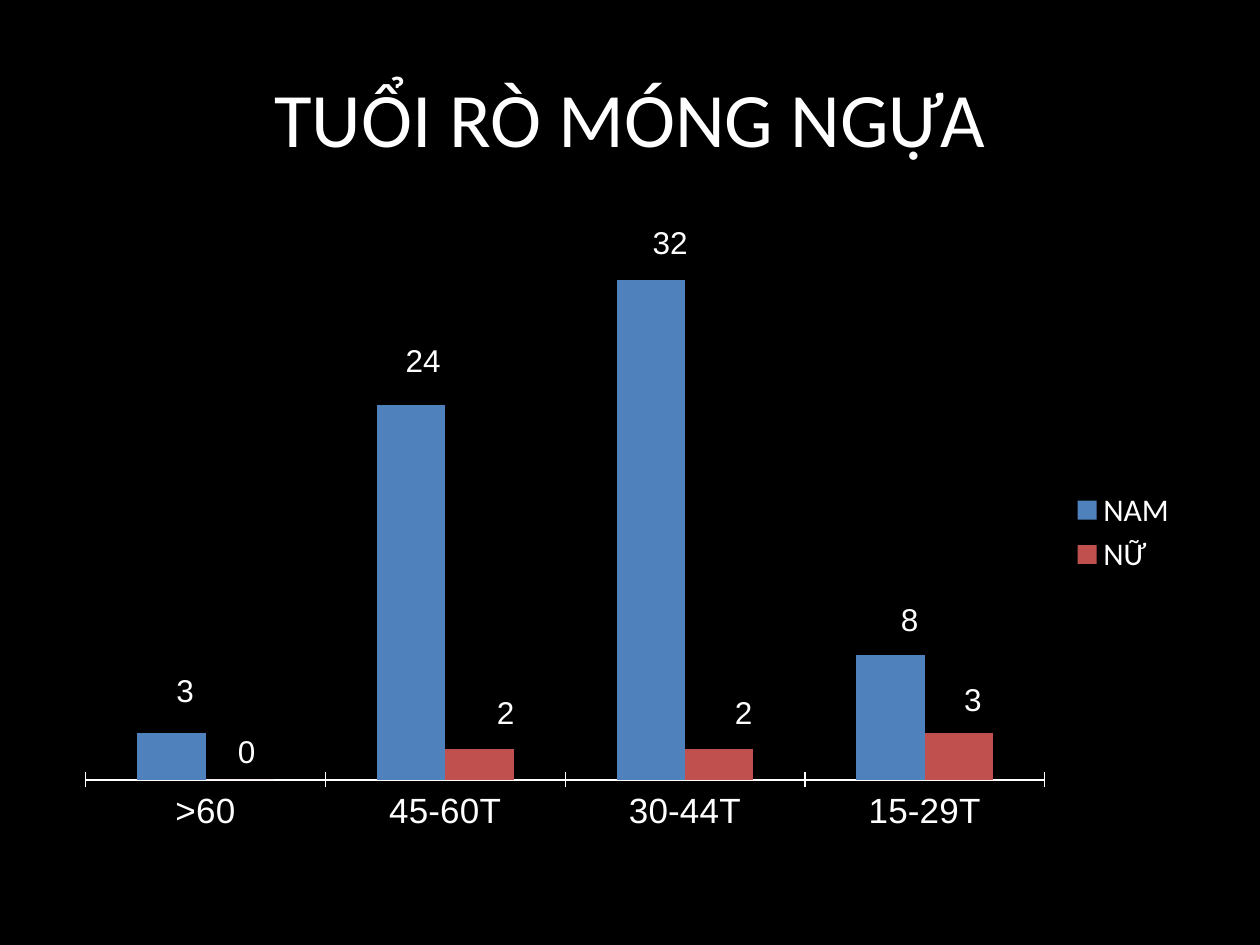
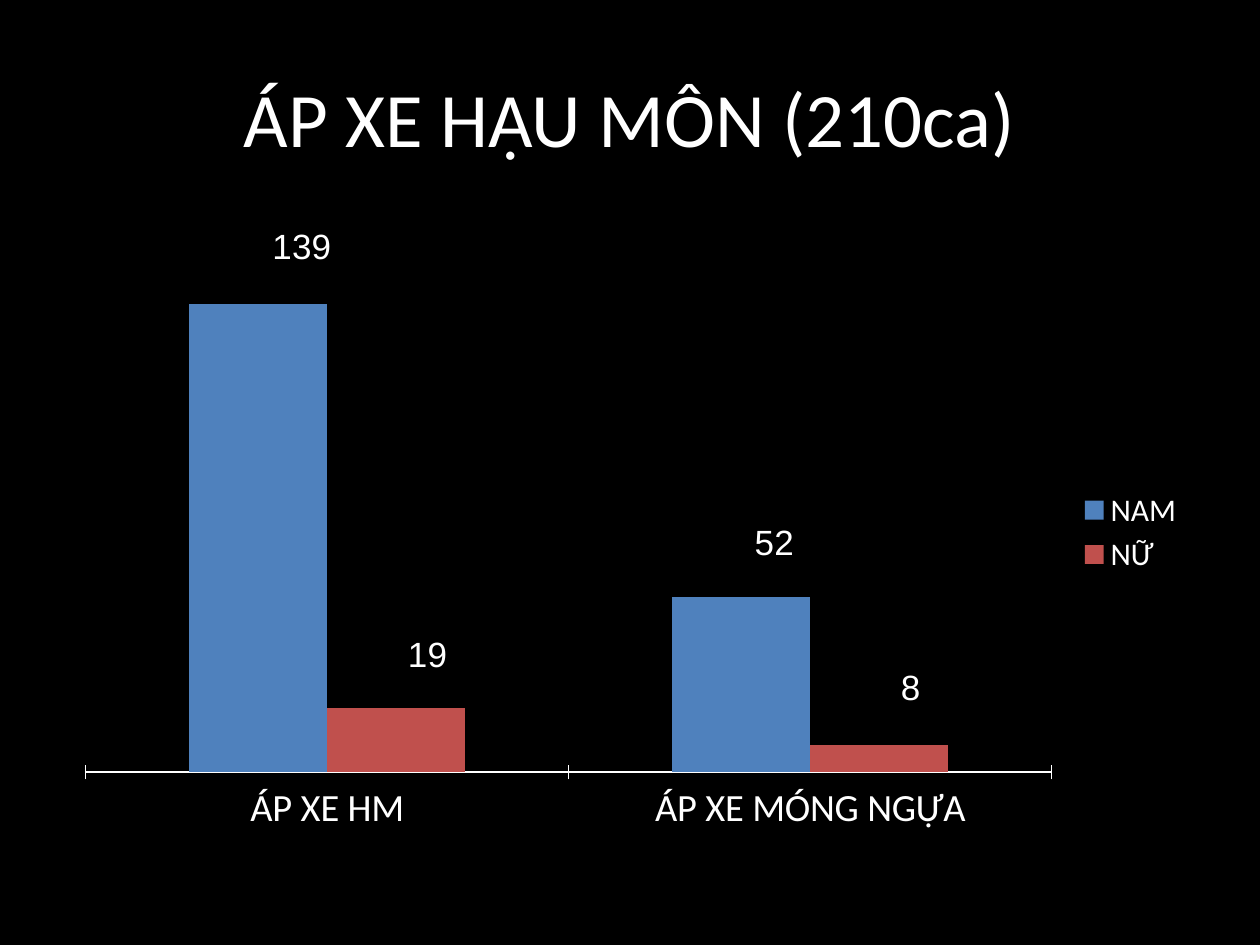
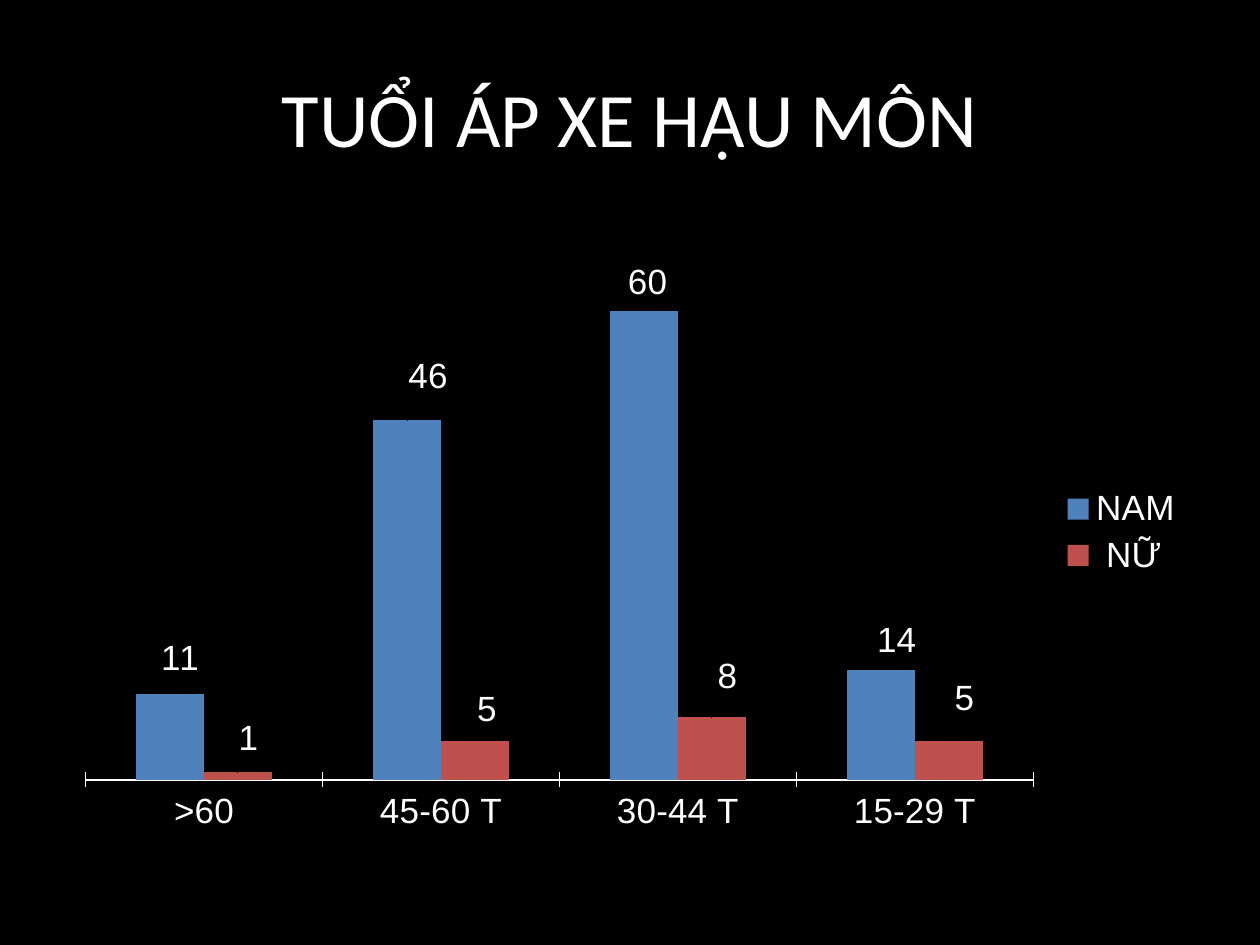
from dataclasses import dataclass

from pptx import Presentation
from pptx.chart.data import CategoryChartData
from pptx.dml.color import RGBColor
from pptx.enum.chart import (XL_CHART_TYPE, XL_LABEL_POSITION,
                             XL_LEGEND_POSITION, XL_TICK_MARK)
from pptx.enum.text import MSO_ANCHOR, PP_ALIGN
from pptx.oxml import parse_xml
from pptx.oxml.ns import nsdecls
from pptx.util import Pt

COLUMNS = XL_CHART_TYPE.COLUMN_CLUSTERED
OUTSIDE_END = XL_LABEL_POSITION.OUTSIDE_END
LEGEND_RIGHT = XL_LEGEND_POSITION.RIGHT
CROSS = XL_TICK_MARK.CROSS
MIDDLE = MSO_ANCHOR.MIDDLE
CENTER = PP_ALIGN.CENTER

TITLE_ONLY = 5
TITLE_AREA = (36, 21.6, 648, 90)
CHART_AREA = (36, 126, 648, 356.4)


@dataclass(frozen=True)
class Theme:
    background: RGBColor = RGBColor(0, 0, 0)
    text: RGBColor = RGBColor(255, 255, 255)
    series: tuple = (RGBColor(0x4F, 0x81, 0xBD), RGBColor(0xC0, 0x50, 0x4D))
    main_font: str = "Calibri"
    number_font: str = "Arial"
    title_size: int = 44
    small: int = 18
    medium: int = 20
    large: int = 22


THEME = Theme()
SMALL_MAIN = {"name": THEME.main_font, "size": Pt(THEME.small)}
LARGE_MAIN = {"name": THEME.main_font, "size": Pt(THEME.large)}
SMALL_NUMBER = {"name": THEME.number_font, "size": Pt(THEME.small)}
MEDIUM_NUMBER = {"name": THEME.number_font, "size": Pt(THEME.medium)}

# Each series holds its name, its values and the label shifts (right, down) in points.
SLIDES = [
    {
        "title": "TUỔI RÒ MÓNG NGỰA",
        "categories": [">60", "45-60T", "30-44T", "15-29T"],
        "series": [
            ("NAM ", [3, 24, 32, 8], [(8, -11), (7, -12), (11, -8), (11, -7)]),
            ("NỮ", [0, 2, 2, 3], [(4, -3), (15, -7), (14, -7), (8, -6)]),
        ],
        "axis": MEDIUM_NUMBER, "labels": SMALL_NUMBER, "legend": SMALL_MAIN,
    },
    {
        "title": "ÁP XE HẬU MÔN (210ca)",
        "categories": ["ÁP XE HM", "ÁP XE MÓNG NGỰA"],
        "series": [
            ("NAM", [139, 52], [(25, -18), (19, -16)]),
            ("NỮ", [19, 8], [(18, -16), (18, -18)]),
        ],
        "axis": LARGE_MAIN, "labels": MEDIUM_NUMBER, "legend": SMALL_MAIN,
    },
    {
        "title": "TUỔI ÁP XE HẬU MÔN",
        "categories": [">60", "45-60 T", "30-44 T", "15-29 T"],
        "series": [
            ("NAM", [11, 46, 60, 14], [(6, -6), (12, -11), (2, -2), (9, -3)]),
            (" NỮ", [1, 5, 8, 5], [(6, -5), (7, -4), (9, -9), (9, -10)]),
        ],
        "axis": MEDIUM_NUMBER, "labels": MEDIUM_NUMBER, "legend": MEDIUM_NUMBER,
    },
]


class SlideBuilder:
    def __init__(self, deck, theme):
        self.deck = deck
        self.theme = theme
        self.slide = None

    def new_slide(self):
        self.slide = self.deck.slides.add_slide(self.deck.slide_layouts[TITLE_ONLY])
        fill = self.slide.background.fill
        fill.solid()
        fill.fore_color.rgb = self.theme.background

    def style_font(self, font, formats):
        for name, value in formats.items():
            setattr(font, name, value)
        font.color.rgb = self.theme.text

    def title(self, text):
        box = self.slide.shapes.title
        for name, value in zip(("left", "top", "width", "height"), TITLE_AREA):
            setattr(box, name, Pt(value))
        box.text_frame.vertical_anchor = MIDDLE
        para = box.text_frame.paragraphs[0]
        para.alignment = CENTER
        span = para.add_run()
        span.text = text
        self.style_font(span.font, {"name": self.theme.main_font,
                                    "size": Pt(self.theme.title_size)})

    def column_chart(self, content):
        data = CategoryChartData()
        data.categories = content["categories"]
        for name, values, _ in content["series"]:
            data.add_series(name, values)
        area = [Pt(value) for value in CHART_AREA]
        chart = self.slide.shapes.add_chart(COLUMNS, *area, data).chart
        self.style_font(chart.font, SMALL_MAIN)
        chart.has_title = False
        chart.has_legend = True
        chart.legend.position = LEGEND_RIGHT
        chart.legend.include_in_layout = False
        self.style_font(chart.legend.font, content["legend"])

        chart.value_axis.visible = False
        chart.value_axis.has_major_gridlines = False
        axis = chart.category_axis
        axis.major_tick_mark = CROSS
        axis.format.line.color.rgb = self.theme.text
        self.style_font(axis.tick_labels.font, content["axis"])

        plot = chart.plots[0]
        plot.vary_by_categories = False
        plot.gap_width = 150
        plot.overlap = 0
        for series, color, (_, _, shifts) in zip(plot.series, self.theme.series,
                                                 content["series"]):
            series.format.fill.solid()
            series.format.fill.fore_color.rgb = color
            self.value_labels(series, shifts, content["labels"])

    def value_labels(self, series, shifts, formats):
        labels = series.data_labels
        labels.show_value = True
        labels.position = OUTSIDE_END
        self.style_font(labels.font, formats)
        for index, shift in enumerate(shifts):
            label = series.points[index].data_label
            self.style_font(label.font, formats)
            label.position = OUTSIDE_END
            self.shift_label(labels, index, shift)

    def shift_label(self, labels, index, shift):
        """Move one label from its usual place, as a share of the chart size."""
        right, down = shift
        _, _, width, height = CHART_AREA
        layout = parse_xml(
            f'<c:layout {nsdecls("c")}><c:manualLayout>'
            f'<c:x val="{right / width:.4f}"/><c:y val="{down / height:.4f}"/>'
            '</c:manualLayout></c:layout>')
        point_label = labels._element.xpath(f'c:dLbl[c:idx/@val="{index}"]')[0]
        point_label.insert(1, layout)


def main():
    deck = Presentation()
    deck.slide_width, deck.slide_height = Pt(720), Pt(540)
    builder = SlideBuilder(deck, THEME)
    for content in SLIDES:
        builder.new_slide()
        builder.title(content["title"])
        builder.column_chart(content)
    deck.save("out.pptx")


if __name__ == "__main__":
    main()
